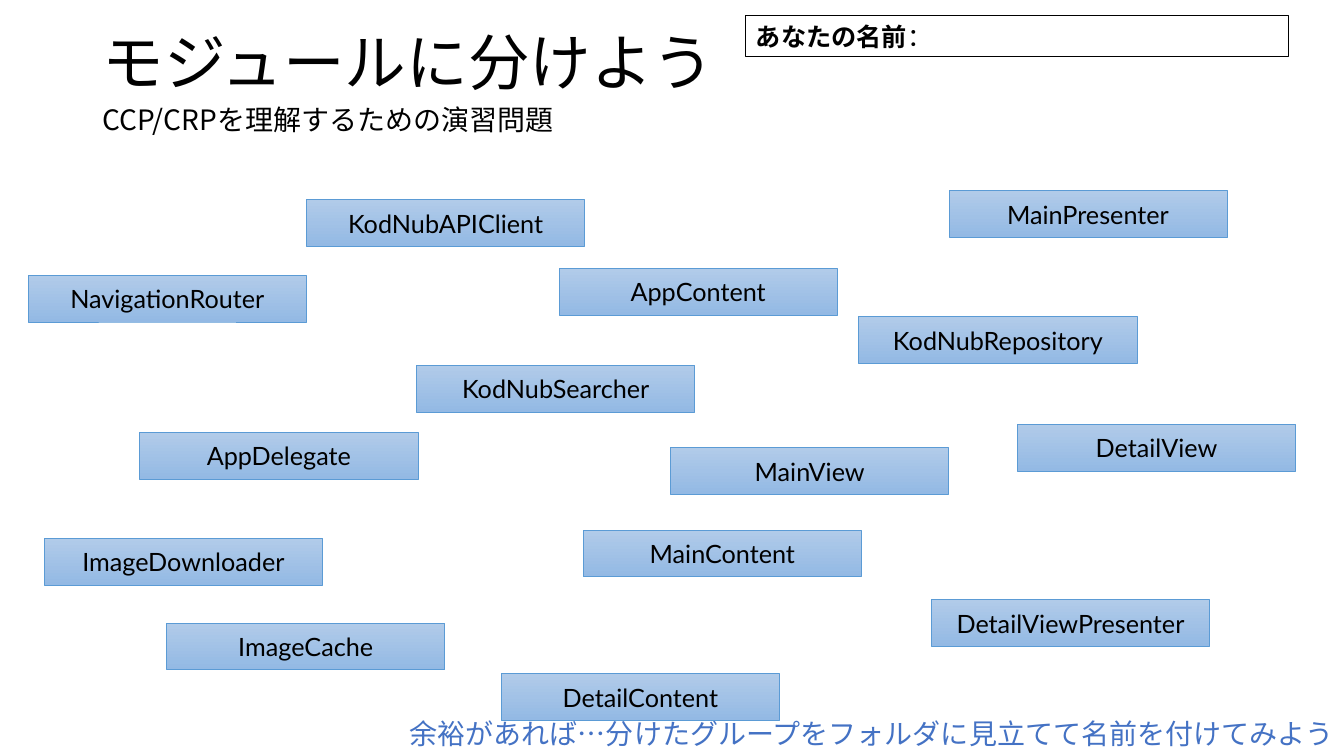
from dataclasses import dataclass

from lxml import etree
from pptx import Presentation
from pptx.dml.color import RGBColor
from pptx.enum.shapes import MSO_SHAPE
from pptx.enum.text import MSO_ANCHOR, PP_ALIGN
from pptx.oxml.ns import qn
from pptx.util import Inches, Pt

RECTANGLE = MSO_SHAPE.RECTANGLE
MIDDLE = MSO_ANCHOR.MIDDLE
LEFT, CENTER, RIGHT = PP_ALIGN.LEFT, PP_ALIGN.CENTER, PP_ALIGN.RIGHT


@dataclass(frozen=True)
class Theme:
    paper: str = "FFFFFF"
    ink: str = "000000"
    accent: str = "4472C4"
    card_line: str = "5B9BD5"
    card_shades: tuple = ("B1CBE9", "93B9E4")
    japanese: str = "Noto Sans CJK JP"
    latin: str = "Lato"
    title_size: int = 44
    note_size: int = 20
    label_size: int = 18


class SlideBuilder:
    """Places elements; lengths are percentages of the slide's size."""

    def __init__(self, page, width, height, theme):
        self.page = page
        self.column = width / 100
        self.row = height / 100
        self.theme = theme

    def block(self, area, spans, size, font, color=None, align=LEFT):
        left, top, width, height = area
        box = self.page.shapes.add_shape(
            RECTANGLE, round(left * self.column), round(top * self.row),
            round(width * self.column), round(height * self.row))
        box.shadow.inherit = False
        box.fill.solid()
        box.fill.fore_color.rgb = RGBColor.from_string(self.theme.paper)
        box.line.fill.background()
        frame = box.text_frame
        frame.word_wrap = True
        frame.vertical_anchor = MIDDLE
        para = frame.paragraphs[0]
        para.alignment = align
        for text, bold in spans:
            span = para.add_run()
            span.text = text
            span.font.size = Pt(size)
            span.font.bold = bold
            span.font.name = font
            span.font.color.rgb = RGBColor.from_string(color or self.theme.ink)
            # East Asian letters take their own typeface entry
            east_asian = etree.Element(qn("a:ea"), typeface=font)
            span.font._element.find(qn("a:latin")).addnext(east_asian)
        return box

    def outline(self, box, color, width):
        box.line.color.rgb = RGBColor.from_string(color)
        box.line.width = Pt(width)

    def title(self, area, text):
        self.block(area, [(text, False)], self.theme.title_size, self.theme.japanese)

    def note(self, area, text, color=None, align=LEFT):
        box = self.block(area, [(text, False)], self.theme.note_size,
                         self.theme.japanese, color, align)
        para = box.text_frame.paragraphs[0]
        para.line_spacing = 0.9
        para.space_before = Pt(10)

    def name_field(self, area, label, mark):
        box = self.block(area, [(label, True), (mark, False)],
                         self.theme.label_size, self.theme.japanese)
        self.outline(box, self.theme.ink, 0.75)

    def card(self, left, top, text):
        box = self.block((left, top, 20.7, 6.2), [(text, False)],
                         self.theme.label_size, self.theme.latin, align=CENTER)
        self.outline(box, self.theme.card_line, 0.5)
        box.fill.gradient()
        box.fill.gradient_angle = 270
        for stop, shade in zip(box.fill.gradient_stops, self.theme.card_shades):
            stop.color.rgb = RGBColor.from_string(shade)


# Class names with the left and top of their cards
CLASSES = [
    ("AppContent", 41.6, 35.5),
    ("AppDelegate", 10.4, 57.2),
    ("KodNubSearcher", 31, 48.3),
    ("KodNubAPIClient", 22.8, 26.4),
    ("KodNubRepository", 63.9, 41.9),
    ("ImageCache", 12.4, 82.4),
    ("ImageDownloader", 3.3, 71.2),
    ("NavigationRouter", 2.1, 36.4),
    ("MainPresenter", 70.6, 25.2),
    ("MainView", 49.9, 59.2),
    ("MainContent", 43.4, 70.1),
    ("DetailContent", 37.3, 89.1),
    ("DetailView", 75.7, 56.1),
    ("DetailViewPresenter", 69.3, 79.3),
]


def main():
    deck = Presentation()
    deck.slide_width, deck.slide_height = Inches(13.33), Inches(7.5)
    page = deck.slides.add_slide(deck.slide_layouts[6])
    theme = Theme()
    builder = SlideBuilder(page, deck.slide_width, deck.slide_height, theme)

    # Headings and closing hint
    builder.title((6.9, 2.5, 78.5, 11.2), "モジュールに分けよう")
    builder.note((6.9, 13.3, 77.4, 5.5), "CCP/CRPを理解するための演習問題")
    builder.note((22.6, 94.5, 77.4, 5.5),
                 "余裕があれば…分けたグループをフォルダに見立てて名前を付けてみよう",
                 theme.accent, RIGHT)

    # Field for the participant's name
    builder.name_field((55.5, 2.1, 40.4, 5.4), "あなたの名前", "：")

    # Cards to be sorted into modules
    for name, left, top in CLASSES:
        builder.card(left, top, name)

    deck.save("out.pptx")


if __name__ == "__main__":
    main()
